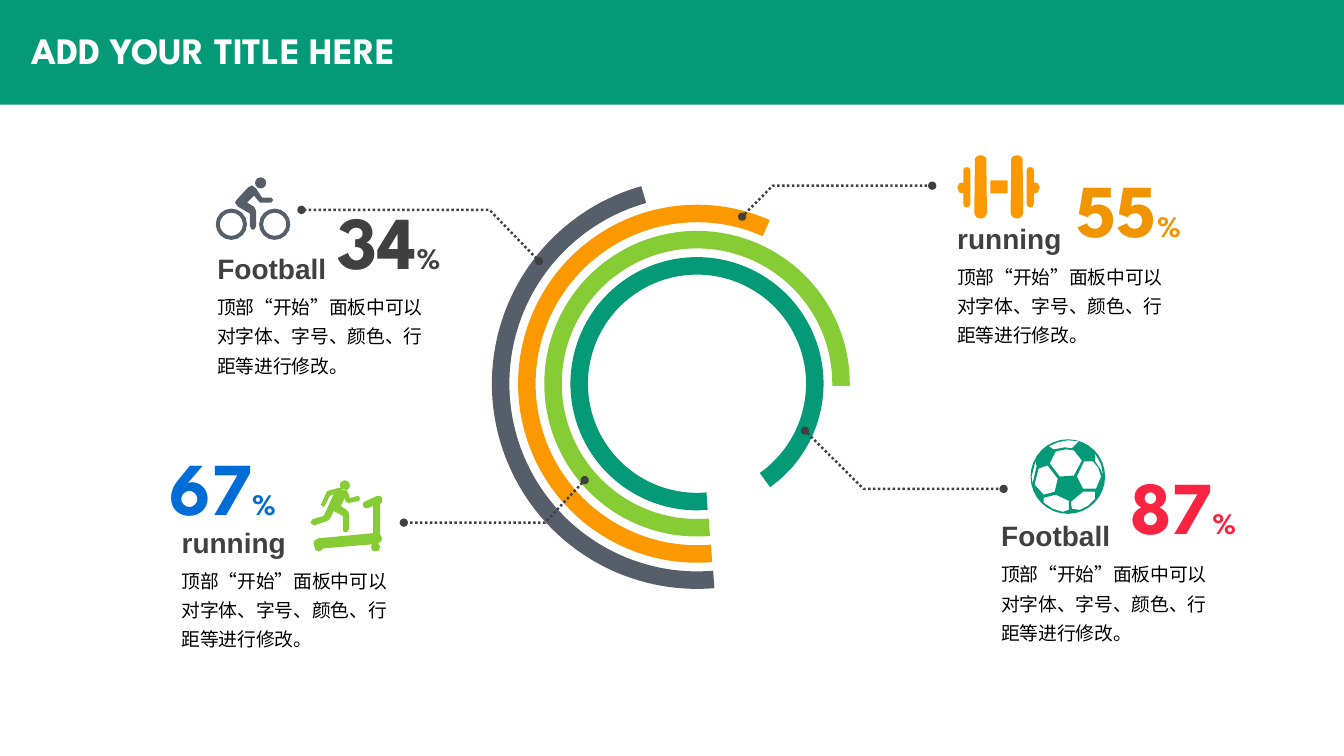
import math

import pptx
import pptx.util
import pptx.oxml.ns
from lxml import etree
from pptx.dml.color import RGBColor
from pptx.enum.dml import MSO_LINE
from pptx.enum.shapes import MSO_SHAPE
from pptx.enum.text import MSO_ANCHOR, MSO_AUTO_SIZE

Cm, Pt = pptx.util.Cm, pptx.util.Pt
qn = pptx.oxml.ns.qn

COLORS = {
    "teal": "049A78", "lime": "85CC35", "orange": "FC9900", "slate": "565F69",
    "amber": "F09400", "blue": "006DD6", "red": "FA2442",
    "dark": "404040", "black": "000000", "white": "FFFFFF",
}
SPARTAN = "League Spartan"
ADVICE = "顶部“开始”面板中可以对字体、字号、颜色、行距等进行修改。"
ICON_UNIT = 0.0254  # cm per step of the icon grids


def rgb(color):
    return RGBColor.from_string(COLORS[color])


# Basic parts
def fill_solid(shape, color):
    shape.shadow.inherit = False
    shape.fill.solid()
    shape.fill.fore_color.rgb = rgb(color)
    shape.line.fill.background()


def add_outline(slide, contours, closed):
    contours = [[(Cm(x), Cm(y)) for x, y in contour] for contour in contours]
    builder = slide.shapes.build_freeform(*contours[0][0])
    for index, contour in enumerate(contours):
        if index:
            builder.move_to(*contour[0])
        builder.add_line_segments(contour[1:], close=closed)
    return builder.convert_to_shape()


def set_stroke(shape, color, width):
    shape.shadow.inherit = False
    shape.fill.background()
    shape.line.color.rgb = rgb(color)
    shape.line.width = Pt(width)


def add_text(slide, box, text, size, color, font=SPARTAN, bold=True, wrap=False):
    frame = slide.shapes.add_textbox(*[Cm(v) for v in box]).text_frame
    frame.word_wrap = wrap
    frame.auto_size = MSO_AUTO_SIZE.SHAPE_TO_FIT_TEXT
    paragraph = frame.paragraphs[0]
    paragraph.font.name = font
    paragraph.font.bold = bold
    paragraph.font.size = Pt(size)
    paragraph.font.color.rgb = rgb(color)
    paragraph.add_run().text = text
    return frame


# Icon contours, in steps of each icon's own grid; inner contours cut holes
def circle(x, y, radius, corners=16):
    turns = [2 * math.pi * i / corners for i in range(corners)]
    return [(x + radius * math.cos(t), y + radius * math.sin(t)) for t in turns]


def pill(left, top, width, height):
    radius = width / 2
    return [(x + left + radius, y + top + (radius if y < -0.01 else height - radius))
            for x, y in circle(0, 0, radius, 14)]


BICYCLE = [
    circle(44.5, 5.5, 5.5, 12),
    *[circle(x, 46.5, radius) for x in (15.5, 58.5) for radius in (15.5, 11.5)],
    [(55, 25), (57, 22.5), (55, 20), (46, 20), (40, 11), (36, 8), (32, 10), (21, 22),
     (19, 25), (22, 29), (34, 36), (34, 48), (35, 51), (37, 52), (39, 51), (40, 48),
     (40, 33), (38, 29), (31, 25), (38, 18), (42, 23), (44, 25)],
]
OUTER_WEIGHT = [
    (69, 15), (70, 12.5), (72.5, 12), (75, 12.5), (76, 15), (76, 27), (80, 28), (82, 32),
    (80, 37), (76, 38), (76, 48), (75, 51), (72.5, 52), (70, 51), (69, 48)]
DUMBBELL = [
    OUTER_WEIGHT,
    [(82 - x, y) for x, y in OUTER_WEIGHT],
    pill(17, 0, 12.5, 63),
    pill(53, 0, 12.5, 63),
    [(33, 25), (50, 25), (50, 38), (33, 38)],
]
TREADMILL = [
    # Machine
    [(71, 58), (69, 54), (69, 24), (71, 22), (71, 18), (69, 16), (66, 16), (55, 21),
     (52, 23), (52, 26), (54, 28), (57, 28), (62, 26), (62, 53), (8, 58), (4, 60),
     (3, 63), (4, 67), (5, 70), (9, 71), (13, 68), (61, 64), (60, 66), (61, 70),
     (64, 71), (68, 70), (69, 66), (67, 63), (70, 61)],
    # Runner
    circle(34, 5.5, 5, 12),
    [(4, 45), (16, 41), (19, 39), (23, 31), (32, 36), (32, 49), (33, 52), (36, 52),
     (38, 49), (38, 33), (36, 30), (30, 26), (34, 18), (35, 22), (38, 23), (48, 21),
     (49, 19), (48, 16), (47, 16), (39, 18), (37, 12), (35, 10), (28, 8), (17, 11),
     (16, 12), (11, 23), (10, 25), (13, 27), (14, 26), (19, 16), (23, 14), (13, 36),
     (2, 39), (0, 42), (1, 44)],
]
BALL = [
    circle(37, 37, 37, 32),
    [(64, 59), (64, 52), (52, 52), (40, 62), (41, 69), (49, 70), (57, 66)],
    [(13, 63), (22, 69), (32, 72), (38, 70), (38, 61), (25, 55), (13, 58)],
    [(5, 21), (1, 37), (2, 44), (6, 27)],
    [(8, 29), (4, 45), (13, 55), (24, 52), (27, 39), (17, 26)],
    [(37, 1), (27, 3), (18, 7), (23, 10), (34, 8), (41, 9), (48, 2)],
    [(43, 11), (35, 10), (25, 12), (19, 24), (29, 37), (43, 36), (51, 21)],
    [(62, 22), (53, 22), (46, 37), (52, 49), (65, 49), (70, 37), (67, 28)],
    [(64, 22), (69, 29), (72, 36), (70, 25), (64, 14)],
]


# Regions
def add_header(slide, left, top, width, height):
    band = slide.shapes.add_shape(MSO_SHAPE.RECTANGLE, Cm(left), Cm(top), Cm(width), Cm(height))
    fill_solid(band, "teal")
    title = add_text(slide, (left + 0.54, top + 0.51, 10.19, 1.5),
                     "ADD YOUR TITLE HERE", 26.6, "white", wrap=True)
    title.auto_size = MSO_AUTO_SIZE.NONE
    title.vertical_anchor = MSO_ANCHOR.MIDDLE


def add_rings(slide, center_x, center_y):
    ends = (("teal", 324.8), ("lime", 270.9), ("orange", 204), ("slate", 164.25))
    for index, (color, end_angle) in enumerate(ends):
        size = 5.94 + 1.32 * index
        ring = slide.shapes.add_shape(MSO_SHAPE.ARC, Cm(center_x - size / 2),
                                      Cm(center_y - size / 2), Cm(size), Cm(size))
        ring.rotation = 90
        # Arc angles are stored as 60000ths of a degree
        ring.adjustments[0] = 355.1 * 0.6
        ring.adjustments[1] = end_angle * 0.6
        set_stroke(ring, color, 12.5)


def add_leader(slide, points):
    leader = add_outline(slide, [points], closed=False)
    set_stroke(leader, "dark", 1.75)
    leader.line.dash_style = MSO_LINE.ROUND_DOT
    stroke = leader.element.spPr.find(qn("a:ln"))
    for end in ("a:headEnd", "a:tailEnd"):
        etree.SubElement(stroke, qn(end)).set("type", "oval")


def add_icon(slide, left, top, contours, color):
    placed = [[(left + x * ICON_UNIT, top + y * ICON_UNIT) for x, y in contour]
              for contour in contours]
    fill_solid(add_outline(slide, placed, closed=True), color)


def add_sport(slide, left, top, name, icon, icon_color, icon_offset,
              percent, percent_color, percent_offset):
    add_icon(slide, left + icon_offset[0], top + icon_offset[1], icon, icon_color)
    percent_box = (left + percent_offset[0], top + percent_offset[1], 3.3, 2.54)
    frame = add_text(slide, percent_box, percent, 53.3, percent_color)
    sign = frame.paragraphs[0].add_run()
    sign.text = "%"
    sign.font.size = Pt(21.3)
    add_text(slide, (left, top, 3.25, 1.12), name, 20, "dark", font="Arial")
    advice = add_text(slide, (left, top + 0.95, 5.9, 2.49), ADVICE, 13.33, "black",
                      bold=False, wrap=True)
    advice.paragraphs[0].line_spacing = 1.3


LEADERS = (
    [(13.59, 6.58), (12.34, 5.29), (7.6, 5.29)],
    [(18.71, 5.46), (19.48, 4.68), (23.5, 4.68)],
    [(14.74, 12.1), (13.74, 13.17), (10.18, 13.17)],
    [(20.29, 10.85), (21.77, 12.32), (25.3, 12.32)],
)
SPORTS = (
    (5.23, 6.22, "Football", BICYCLE, "slate", (0.21, -1.75), "34", "dark", (3.03, -1.44)),
    (23.88, 5.46, "running", DUMBBELL, "orange", (0.25, -1.55), "55", "amber", (3.01, -1.47)),
    (4.33, 13.11, "running", TREADMILL, "lime", (3.5, -1.02), "67", "blue", (-0.3, -2.12)),
    (24.99, 12.95, "Football", BALL, "teal", (0.99, -1.88), "87", "red", (3.25, -1.49)),
)

deck = pptx.Presentation()
deck.slide_width, deck.slide_height = Cm(33.88), Cm(19.05)
slide = deck.slides.add_slide(deck.slide_layouts[6])
add_header(slide, 0, 0, 33.88, 2.64)
add_rings(slide, 17.57, 9.67)
for points in LEADERS:
    add_leader(slide, points)
for sport in SPORTS:
    add_sport(slide, *sport)
deck.save("out.pptx")
